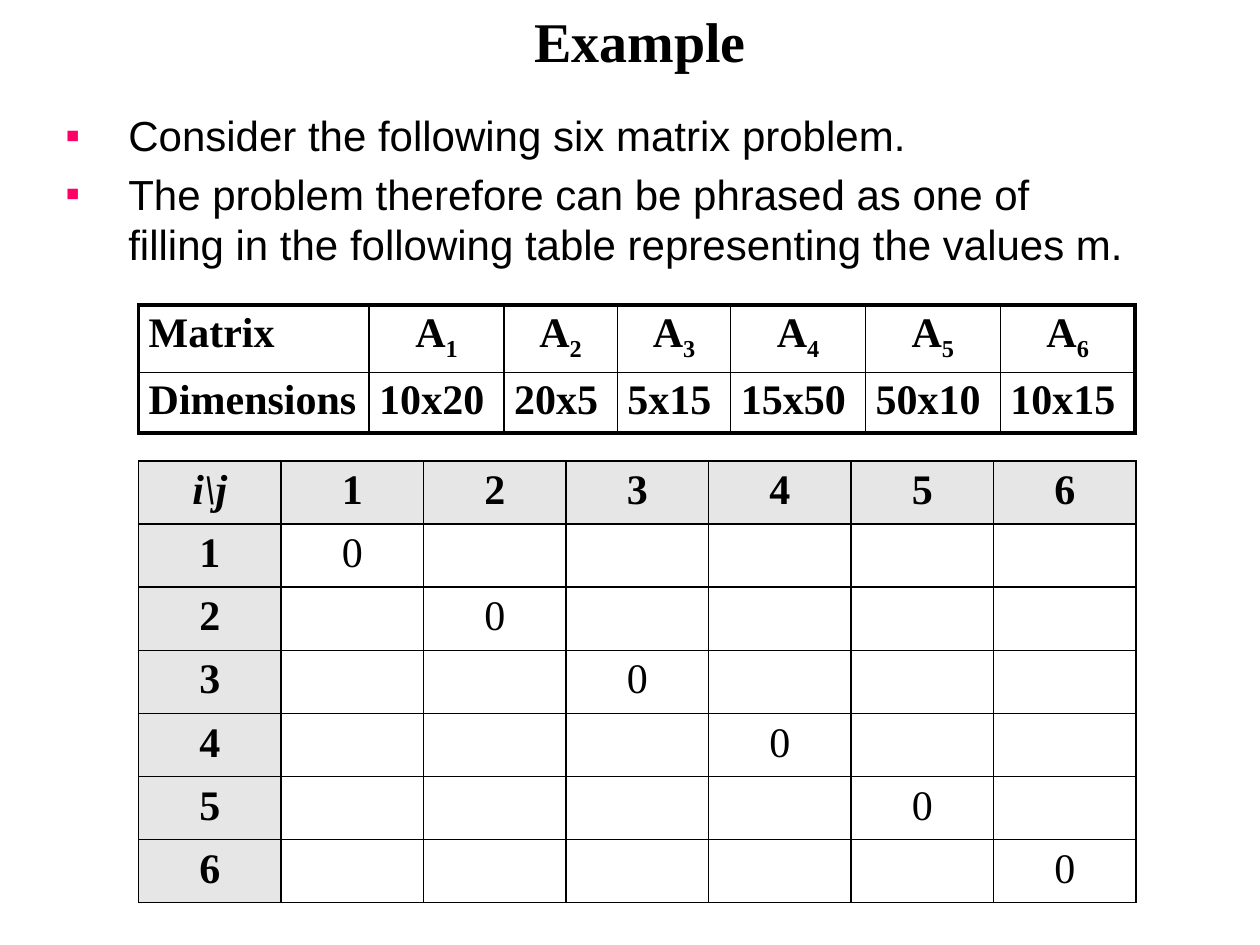
from dataclasses import dataclass

import pptx
import pptx.util
import pptx.dml.color
import pptx.enum.text
from lxml import etree
from pptx.oxml.ns import qn
from pptx.util import Inches, Pt

Align = pptx.enum.text.PP_ALIGN
WIDE, HIGH = Inches(10), Inches(7.5)
COLS, ROWS = 100, 75  # slide grid


@dataclass(frozen=True)
class Theme:
    ink: str = "000000"
    mark: str = "FF0066"
    shade: str = "E6E6E6"
    serif: str = "Times New Roman"
    sans: str = "Arial"
    head: int = 32
    text: int = 24
    thin: float = 1
    thick: float = 2.25


@dataclass(frozen=True)
class Box:
    x: float
    y: float
    w: float
    h: float

    def place(self) -> tuple[int, ...]:
        return across(self.x), down(self.y), across(self.w), down(self.h)


@dataclass(frozen=True)
class Cell:
    text: str = ""
    sub: str = ""
    bold: bool = True
    slant: bool = False
    mid: bool = True
    fill: str = ""


@dataclass(frozen=True)
class Grid:
    box: Box
    wide: list[float]
    high: list[float]
    cells: list[list[Cell]]
    pad: tuple[float, float]
    edge: float


THEME = Theme()


def across(cols: float) -> int:
    return round(WIDE * cols / COLS)


def down(rows: float) -> int:
    return round(HIGH * rows / ROWS)


def style(para, face: str, size: int, bold: bool = False, slant: bool = False) -> None:
    font = para.font
    font.name, font.size, font.bold, font.italic = face, Pt(size), bold, slant
    font.color.rgb = pptx.dml.color.RGBColor.from_string(THEME.ink)


def frame(slide, box: Box):
    text = slide.shapes.add_textbox(*box.place()).text_frame
    text.word_wrap = True
    return text


def bullet(para) -> None:
    props = para._p.get_or_add_pPr()
    props.set("marL", str(across(5)))
    props.set("indent", str(-across(5)))
    tint = etree.SubElement(props, qn("a:buClr"))
    etree.SubElement(tint, qn("a:srgbClr"), val=THEME.mark)
    etree.SubElement(props, qn("a:buFont"), typeface=THEME.sans)
    etree.SubElement(props, qn("a:buChar"), char="▪")


def border(cell, sides: dict[str, float]) -> None:
    props = cell._tc.get_or_add_tcPr()
    for spot, (side, size) in enumerate(sides.items()):
        line = etree.Element(qn(f"a:ln{side}"), w=str(Pt(size)))
        fill = etree.SubElement(line, qn("a:solidFill"))
        etree.SubElement(fill, qn("a:srgbClr"), val=THEME.ink)
        props.insert(spot, line)


def write(cell, item: Cell, pad: tuple[float, float]) -> None:
    cell.margin_left = cell.margin_right = across(pad[0])
    cell.margin_top = cell.margin_bottom = down(pad[1])
    if item.fill:
        cell.fill.solid()
        cell.fill.fore_color.rgb = pptx.dml.color.RGBColor.from_string(item.fill)
    else:
        cell.fill.background()
    if not item.text:
        return
    para = cell.text_frame.paragraphs[0]
    para.alignment = Align.CENTER if item.mid else Align.LEFT
    para.add_run().text = item.text
    if item.sub:
        run = para.add_run()
        run.text = item.sub
        run._r.get_or_add_rPr().set("baseline", "-25000")
    style(para, THEME.serif, THEME.text, item.bold, item.slant)


def draw(slide, grid: Grid) -> None:
    rows, cols = len(grid.high), len(grid.wide)
    table = slide.shapes.add_table(rows, cols, *grid.box.place()).table
    table.first_row = table.horz_banding = False
    for col, size in zip(table.columns, grid.wide):
        col.width = across(size)
    for row, size in zip(table.rows, grid.high):
        row.height = down(size)
    for r, line in enumerate(grid.cells):
        for c, item in enumerate(line):
            cell = table.cell(r, c)
            write(cell, item, grid.pad)
            outer = {"L": c == 0, "R": c == cols - 1, "T": r == 0, "B": r == rows - 1}
            border(cell, {k: grid.edge if out else THEME.thin for k, out in outer.items()})


def sizes() -> Grid:
    dims = ["10x20", "20x5", "5x15", "15x50", "50x10", "10x15"]
    top = [Cell("A", sub=str(n)) for n in range(1, len(dims) + 1)]
    low = [Cell(dim, mid=False) for dim in dims]
    return Grid(
        Box(11, 24.2, 79.2, 10.1),
        [18.3, 10.7, 9, 9, 10.7, 10.7, 10.7],
        [5.3, 4.8],
        [[Cell("Matrix", mid=False), *top], [Cell("Dimensions", mid=False), *low]],
        (0.8, 0.4),
        THEME.thick,
    )


def costs(count: int = 6) -> Grid:
    def pick(r: int, c: int) -> Cell:
        if r == 0 and c == 0:
            return Cell("i\\j", slant=True, fill=THEME.shade)
        if r == 0 or c == 0:
            return Cell(str(r + c), fill=THEME.shade)
        return Cell("0", bold=False) if r == c else Cell()

    span = range(count + 1)
    box = Box(11, 36.6, 79.2, 35)
    return Grid(
        box,
        [box.w / len(span)] * len(span),
        [box.h / len(span)] * len(span),
        [[pick(r, c) for c in span] for r in span],
        (1, 0.5),
        THEME.thin,
    )


def main() -> None:
    deck = pptx.Presentation()
    deck.slide_width, deck.slide_height = WIDE, HIGH
    slide = deck.slides.add_slide(deck.slide_layouts[6])

    # Title
    para = frame(slide, Box(3.3, 0, 95, 6.4)).paragraphs[0]
    para.text, para.alignment = "Example", Align.CENTER
    style(para, THEME.serif, THEME.head, bold=True)

    # Bullets
    body = frame(slide, Box(4.2, 8.2, 86.5, 13.1))
    lines = [
        "Consider the following six matrix problem.",
        "The problem therefore can be phrased as one of filling in the following "
        "table representing the values m.",
    ]
    for n, line in enumerate(lines):
        para = body.add_paragraph() if n else body.paragraphs[0]
        para.text = line
        if n:
            para.space_before = Pt(THEME.text * 0.2)
        bullet(para)
        style(para, THEME.sans, THEME.text)

    # Tables
    for grid in (sizes(), costs()):
        draw(slide, grid)

    deck.save("out.pptx")


if __name__ == "__main__":
    main()
